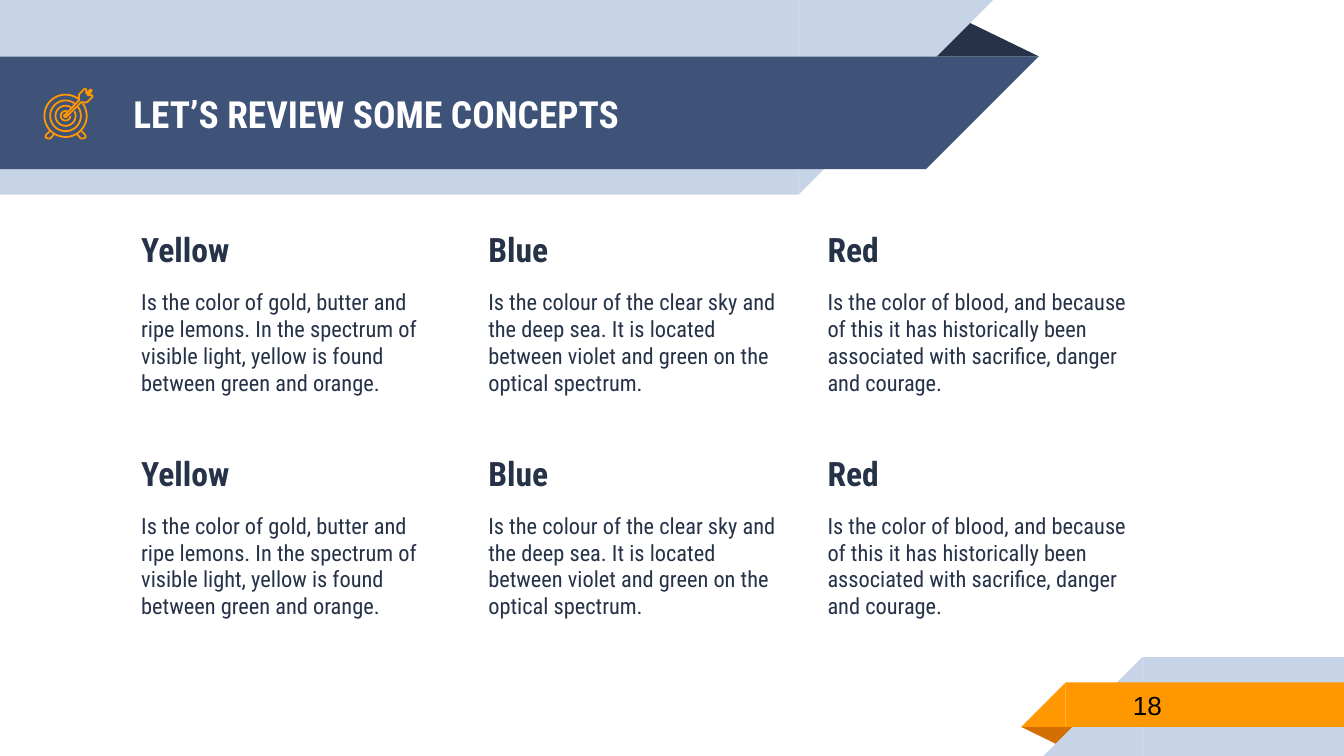
import math

from pptx import Presentation
from pptx import util as u
from pptx.dml.color import RGBColor
from pptx.enum import shapes, text

NAVY = RGBColor(0x26, 0x32, 0x48)
BLUE = RGBColor(0x3F, 0x53, 0x78)
PALE = RGBColor(0xC7, 0xD3, 0xE6)
ORANGE = RGBColor(0xFF, 0x98, 0x00)
RUST = RGBColor(0xD2, 0x6F, 0x00)
WHITE = RGBColor(0xFF, 0xFF, 0xFF)
BLACK = RGBColor(0, 0, 0)
FONT = "Roboto Condensed"
SHAPE = shapes.MSO_SHAPE

CONCEPTS = [
    ("Yellow", "Is the color of gold, butter and ripe lemons. In the spectrum of "
               "visible light, yellow is found between green and orange."),
    ("Blue", "Is the colour of the clear sky and the deep sea. It is located "
             "between violet and green on the optical spectrum."),
    ("Red", "Is the color of blood, and because of this it has historically been "
            "associated with sacrifice, danger and courage."),
]


def add_block(s, kind, x, y, w, h, color, rotation=0):
    sp = s.shapes.add_shape(kind, u.Cm(x), u.Cm(y), u.Cm(w), u.Cm(h))
    sp.shadow.inherit = False
    sp.fill.solid()
    sp.fill.fore_color.rgb = color
    sp.line.fill.background()
    sp.rotation = rotation
    return sp


def add_fold(s, x, y, w, h, color, rotation=0):
    sp = add_block(s, SHAPE.ISOSCELES_TRIANGLE, x, y, w, h, color, rotation)
    sp.adjustments[0] = 0.324


def add_band(s, x, y, w, h, color, slant_right):
    slant_x, rotation = (x + w, 90) if slant_right else (x - h, 270)
    add_block(s, SHAPE.RECTANGLE, x, y, w, h, color)
    add_block(s, SHAPE.RIGHT_TRIANGLE, slant_x, y, h, h, color, rotation)


def add_text(s, x, y, w, h, lines, anchor=text.MSO_ANCHOR.TOP, after=0):
    tf = s.shapes.add_textbox(u.Cm(x), u.Cm(y), u.Cm(w), u.Cm(h)).text_frame
    tf.word_wrap = True
    tf.vertical_anchor = anchor
    tf.margin_left = tf.margin_right = tf.margin_top = tf.margin_bottom = u.Cm(0.25)
    for i, (words, size, bold, color, font) in enumerate(lines):
        p = tf.add_paragraph() if i else tf.paragraphs[0]
        p.text = words
        p.space_after = u.Pt(after)
        p.font.size = u.Pt(size)
        p.font.bold = bold
        p.font.color.rgb = color
        p.font.name = font


def add_outline(s, x, y, points, close=False):
    pts = [(u.Cm(x + px), u.Cm(y + py)) for px, py in points]
    builder = s.shapes.build_freeform(*pts[0])
    builder.add_line_segments(pts[1:], close=close)
    sp = builder.convert_to_shape()
    sp.shadow.inherit = False
    sp.fill.background()
    sp.line.color.rgb = ORANGE
    sp.line.width = u.Pt(0.96)


def arc(radius, start, end, steps=48):
    angles = [math.radians(start + (end - start) * i / steps) for i in range(steps + 1)]
    return [(radius * math.cos(a), radius * math.sin(a)) for a in angles]


def add_target(s, x, y):
    rings = [(0.4, -36, 306), (0.29, -36, 306), (0.09, 0, 285), (0.19, -27, 302)]
    for ring in rings:
        add_outline(s, x, y, arc(*ring))
    foot = [(0.3, 0.29), (0.37, 0.36), (0.38, 0.4), (0.36, 0.42),
            (0.33, 0.43), (0.3, 0.43), (0.28, 0.42), (0.22, 0.35)]
    for side in (-1, 1):
        add_outline(s, x, y, [(side * px, py) for px, py in foot])
    half = [(0, -0.03), (0.26, -0.3), (0.25, -0.36), (0.26, -0.41), (0.36, -0.51),
            (0.38, -0.51), (0.39, -0.49), (0.39, -0.42), (0.46, -0.49), (0.49, -0.49)]
    mirrored = [(-py, -px) for px, py in reversed(half)]
    add_outline(s, x, y, half + mirrored + [(0.02, 0.02), (-0.02, 0.02), (-0.03, -0.01)],
                close=True)


def add_header(s, x, y):
    add_fold(s, x + 17.48, y + 0.36, 2.16, 0.71, NAVY)
    add_band(s, x, y, 15.09, 3.68, PALE, True)
    add_band(s, x, y + 1.07, 17.5, 2.13, BLUE, True)
    add_text(s, x + 2.27, y + 1.09, 14.6, 2.13,
             [("LET’S REVIEW SOME CONCEPTS", 20, True, WHITE, FONT)],
             text.MSO_ANCHOR.MIDDLE)
    add_target(s, x + 1.24, y + 2.19)


def add_footer(s, x, y):
    add_fold(s, x, y + 1.32, 1.09, 0.36, RUST, 180)
    add_band(s, x + 2.29, y, 3.81, 1.87, PALE, False)
    add_band(s, x + 0.84, y + 0.48, 5.26, 0.84, ORANGE, False)
    add_text(s, x + 1.86, y + 0.46, 4.14, 0.89, [("18", 14, False, BLACK, "Arial")],
             text.MSO_ANCHOR.MIDDLE)


def add_concepts(s, x, y):
    for row in range(2):
        for dx, (name, description) in zip((0, 6.56, 12.97), CONCEPTS):
            add_text(s, x + dx, y + row * 4.23, 6.25, 4.22,
                     [(name, 18, True, NAVY, FONT), (description, 12, False, NAVY, FONT)],
                     after=10)


prs = Presentation()
prs.slide_width, prs.slide_height = u.Cm(25.4), u.Cm(14.29)
s = prs.slides.add_slide(prs.slide_layouts[6])
add_header(s, 0, 0)
add_footer(s, 19.3, 12.42)
add_concepts(s, 2.42, 4.08)
prs.save("out.pptx")
